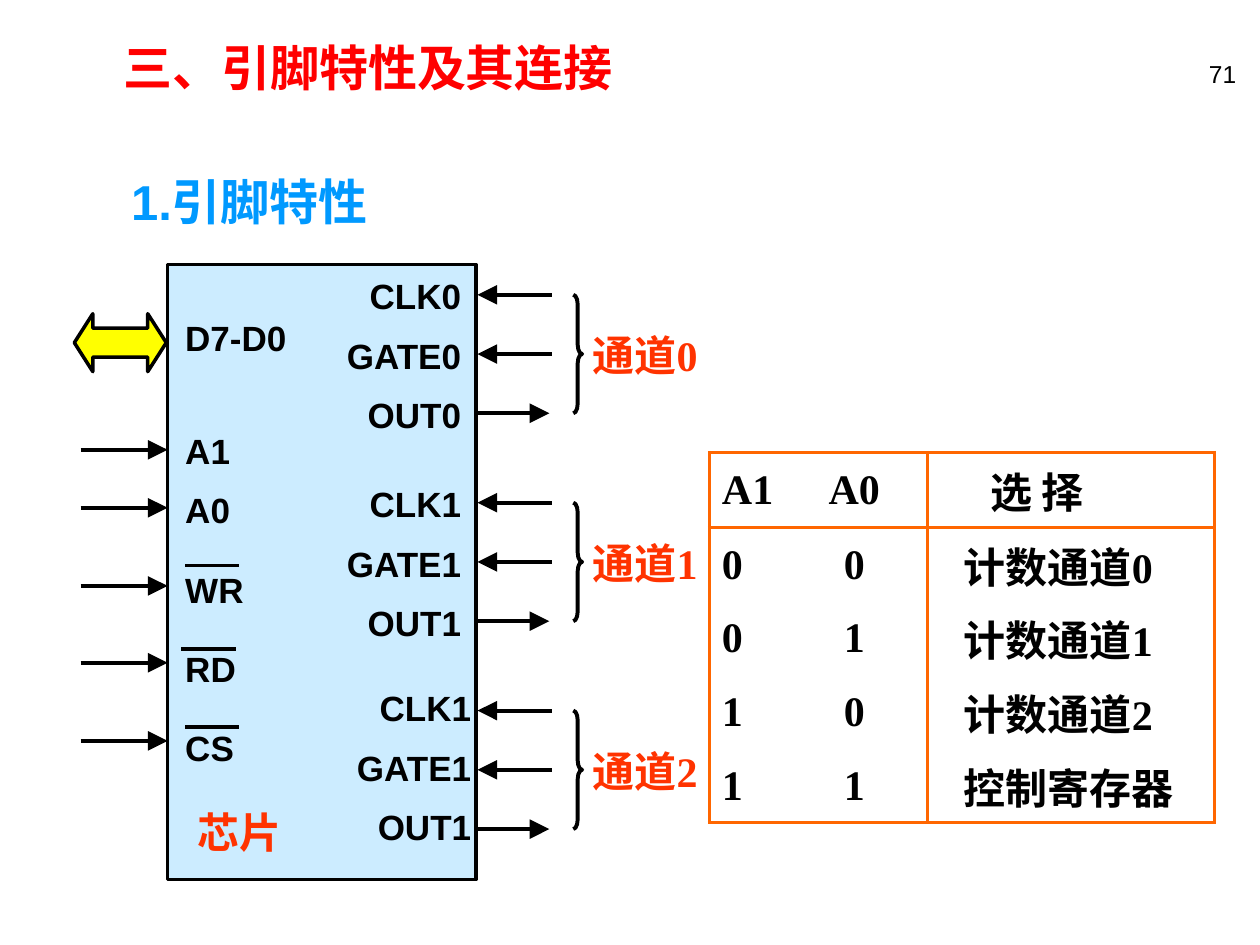
from lxml.etree import SubElement
from pptx import Presentation
from pptx.dml.color import RGBColor
from pptx.enum.shapes import MSO_CONNECTOR, MSO_SHAPE
from pptx.enum.text import MSO_ANCHOR, MSO_AUTO_SIZE, PP_ALIGN
from pptx.oxml import parse_xml
from pptx.oxml.ns import nsdecls, qn
from pptx.util import Inches, Pt

COLORS = {
    "ink": "000000",
    "title": "FF0000",
    "heading": "0099FF",
    "accent": "FF3300",
    "chip": "CCECFF",
    "bus": "FFFF00",
    "grid": "FF6600",
}
CHIP_LEFT, CHIP_RIGHT = 1.33, 3.78
CHANNEL_TOP, CHANNEL_STEP, PIN_STEP = 2.34, 1.65, 0.47
CHANNELS = [
    ("通道0", ["CLK0", "GATE0", "OUT0"], 2.52, 2.13),
    ("通道1", ["CLK1", "GATE1", "OUT1"], 2.52, 3.78),
    ("通道2", ["CLK1", "GATE1", "OUT1"], 2.60, 5.40),
]
INPUTS = [
    ("A1", 3.57, 3.36, None),
    ("A0", 4.03, 3.83, None),
    ("WR", 4.65, 4.46, (1.47, 4.49)),
    ("RD", 5.26, 5.09, (1.44, 5.15)),
    ("CS", 5.88, 5.72, (1.47, 5.77)),
]
SELECTION = [
    ("A1", "A0", "选 择"),
    ("0", "0", "计数通道0"),
    ("0", "1", "计数通道1"),
    ("1", "0", "计数通道2"),
    ("1", "1", "控制寄存器"),
]


def rgb(name):
    return RGBColor.from_string(COLORS[name])


def write(frame, lines, size=20, font="Arial", color="ink", bold=True,
          align=PP_ALIGN.LEFT, after=0, spacing=1.0):
    for index, line in enumerate(lines):
        paragraph = frame.paragraphs[0] if index == 0 else frame.add_paragraph()
        paragraph.alignment = align
        paragraph.space_before = Pt(0)
        paragraph.space_after = Pt(after)
        paragraph.line_spacing = spacing
        run = paragraph.add_run()
        run.text = line
        run.font.size = Pt(size)
        run.font.name = font
        run.font.bold = bold
        run.font.color.rgb = rgb(color)


def add_label(slide, lines, left, top, width, height, side=0, **style):
    label = slide.shapes.add_textbox(*map(Inches, (left, top, width, height)))
    frame = label.text_frame
    frame.word_wrap = True
    frame.margin_left = frame.margin_right = Inches(side)
    write(frame, lines, **style)


def fill_placeholder(placeholder, line, left, top, width, height, **style):
    placeholder.left, placeholder.top = Inches(left), Inches(top)
    placeholder.width, placeholder.height = Inches(width), Inches(height)
    frame = placeholder.text_frame
    frame.word_wrap = True
    frame.auto_size = MSO_AUTO_SIZE.NONE
    frame.vertical_anchor = MSO_ANCHOR.TOP
    properties = frame.paragraphs[0]._p.get_or_add_pPr()
    properties.set("marL", "0")
    properties.set("indent", "0")
    SubElement(properties, qn("a:buNone"))
    write(frame, [line], **style)


def add_outline(slide, preset, left, top, width, height, fill=None,
                weight=2, adjustments=()):
    shape = slide.shapes.add_shape(preset, *map(Inches, (left, top, width, height)))
    shape.shadow.inherit = False
    for index, value in enumerate(adjustments):
        shape.adjustments[index] = value
    if fill:
        shape.fill.solid()
        shape.fill.fore_color.rgb = rgb(fill)
    else:
        shape.fill.background()
    shape.line.color.rgb = rgb("ink")
    shape.line.width = Pt(weight)


def add_line(slide, start, end, y, weight=2.25, arrow=True):
    line = slide.shapes.add_connector(
        MSO_CONNECTOR.STRAIGHT, Inches(start), Inches(y), Inches(end), Inches(y))
    line.line.color.rgb = rgb("ink")
    line.line.width = Pt(weight)
    if arrow:
        SubElement(line.line._get_or_add_ln(), qn("a:tailEnd"),
                   type="triangle", w="lg", len="lg")
    SubElement(line._element.spPr, qn("a:effectLst"))


def set_borders(cell, visible):
    cell.fill.background()
    properties = cell._tc.get_or_add_tcPr()
    for index, side in enumerate("LRTB"):
        paint = "<a:noFill/>"
        if side in visible:
            paint = f'<a:solidFill><a:srgbClr val="{COLORS["grid"]}"/></a:solidFill>'
        properties.insert(index, parse_xml(
            f'<a:ln{side} {nsdecls("a")} w="{Pt(2)}">{paint}</a:ln{side}>'))


def add_selection_table(slide):
    table = slide.shapes.add_table(
        len(SELECTION), 3, Inches(5.63), Inches(3.59), Inches(4.01), Inches(2.94)).table
    table.first_row = table.horz_banding = False
    for column, width in zip(table.columns, (0.57, 1.16, 2.28)):
        column.width = Inches(width)
    for r, texts in enumerate(SELECTION):
        table.rows[r].height = Inches(0.6 if r == 0 else 2.34 / 4)
        for c, text in enumerate(texts):
            cell = table.cell(r, c)
            indent = (0.1, 0, 0.5 if r == 0 else 0.29)[c]
            cell.margin_left = Inches(indent)
            cell.margin_right = cell.margin_top = cell.margin_bottom = 0
            cell.vertical_anchor = MSO_ANCHOR.MIDDLE
            write(cell.text_frame, [text], size=24, font="Times New Roman",
                  align=PP_ALIGN.CENTER if c == 1 else PP_ALIGN.LEFT)
            visible = ("L", "R", "LR")[c]
            visible += "TB" if r == 0 else "T" if r == 1 else ""
            visible += "B" if r == len(SELECTION) - 1 else ""
            set_borders(cell, visible)


def add_inputs(slide):
    add_label(slide, ["D7-D0"], 1.47, 2.46, 0.93, 0.44)
    add_outline(slide, MSO_SHAPE.LEFT_RIGHT_ARROW, 0.59, 2.49, 0.73, 0.46,
                fill="bus", adjustments=(0.5, 0.32))
    for name, y, label_top, overbar in INPUTS:
        add_line(slide, 0.64, CHIP_LEFT, y)
        add_label(slide, [name], 1.47, label_top, 0.65, 0.44)
        if overbar:
            left, bar_y = overbar
            add_line(slide, left, left + 0.43, bar_y, weight=2, arrow=False)


def add_channels(slide):
    for index, (channel, pins, pins_left, pins_top) in enumerate(CHANNELS):
        top = CHANNEL_TOP + index * CHANNEL_STEP
        add_label(slide, pins, pins_left, pins_top, 1.14, 1.38,
                  align=PP_ALIGN.RIGHT, after=10)
        add_line(slide, 4.38, 3.79, top)
        add_line(slide, 4.38, 3.79, top + PIN_STEP)
        add_line(slide, CHIP_RIGHT, 4.36, top + 2 * PIN_STEP)
        add_outline(slide, MSO_SHAPE.RIGHT_BRACE, 4.55, top, 0.07, 2 * PIN_STEP,
                    weight=2.25, adjustments=(1.07, 0.5))
        add_label(slide, [channel], 4.69, top + 0.23, 0.86, 0.9, size=24,
                  font="Times New Roman", color="accent", align=PP_ALIGN.CENTER)


def main():
    presentation = Presentation()
    presentation.slide_width, presentation.slide_height = Inches(10), Inches(7.5)
    slide = presentation.slides.add_slide(presentation.slide_layouts[1])
    title, heading = slide.placeholders
    fill_placeholder(title, "三、引脚特性及其连接", 0.88, 0.2, 4.41, 0.62,
                     size=28, color="title", spacing=1.1)
    fill_placeholder(heading, "1.引脚特性", 0.94, 1.31, 2.6, 0.57,
                     size=28, color="heading")
    add_label(slide, ["71"], 7.83, 0.42, 2.08, 0.5, side=0.1, size=14,
              bold=False, align=PP_ALIGN.RIGHT)
    add_outline(slide, MSO_SHAPE.RECTANGLE, CHIP_LEFT, 2.1,
                CHIP_RIGHT - CHIP_LEFT, 4.88, fill="chip")
    add_label(slide, ["芯片"], 1.57, 6.35, 0.93, 0.5, size=24, color="accent")
    add_inputs(slide)
    add_channels(slide)
    add_selection_table(slide)
    presentation.save("out.pptx")


if __name__ == "__main__":
    main()
